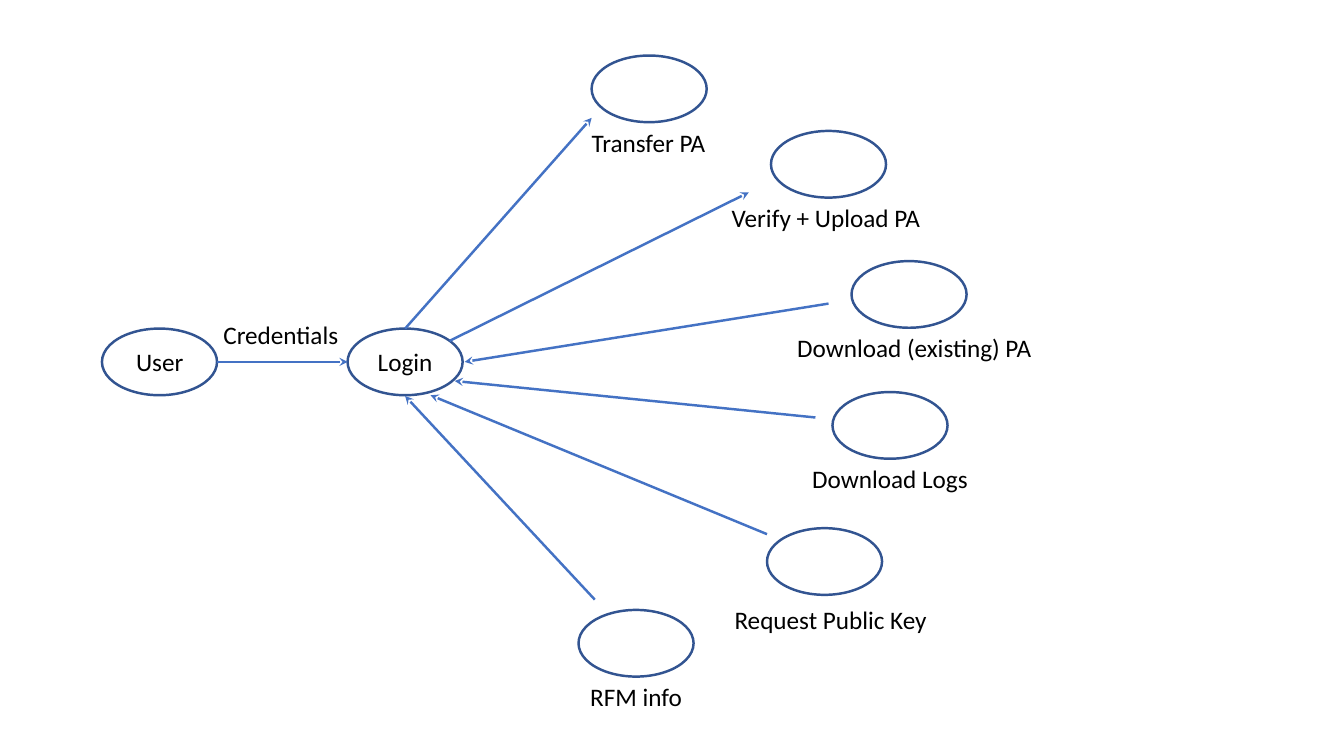
from typing import NamedTuple

from lxml.etree import SubElement
from pptx import Presentation
from pptx.dml.color import RGBColor
from pptx.enum.shapes import MSO_CONNECTOR as CONNECTOR, MSO_SHAPE as SHAPE
from pptx.enum.text import MSO_AUTO_SIZE as AUTO_SIZE, PP_ALIGN as ALIGN
from pptx.oxml.ns import qn
from pptx.util import Cm, Pt

OVAL_WIDTH, OVAL_HEIGHT = 2.9, 1.68
LABEL_HEIGHT = 1.02
USER = (2.57, 8.28)
LOGIN = (8.76, 8.28)


class Action(NamedTuple):
    text: str
    position: tuple
    label_shift: tuple
    label_width: float
    login_end: tuple
    action_end: tuple
    arrowhead: str
    align: ALIGN = ALIGN.LEFT


ACTIONS = [
    Action("Transfer PA", (14.91, 1.4), (-0.25, 1.68), 3.45,
           (1.45, 0), (0, 1.57), "tailEnd"),
    Action("Verify + Upload PA", (19.43, 3.3), (-1.24, 1.68), 5.38,
           (2.57, 0.31), (-0.56, 1.55), "tailEnd"),
    Action("Download (existing) PA", (21.46, 6.58), (-1.62, 1.68), 6.76,
           (2.95, 0.84), (-0.58, 1.07), "headEnd"),
    Action("Download Logs", (20.98, 9.88), (-0.76, 1.68), 4.52,
           (2.7, 1.32), (-0.43, 0.64), "headEnd"),
    Action("Request Public Key", (19.33, 13.31), (-1.19, 1.8), 5.59,
           (2.09, 1.68), (0, 0.15), "headEnd", ALIGN.CENTER),
    Action("RFM info", (14.58, 15.37), (0, 1.68), OVAL_WIDTH,
           (1.45, 1.7), (0.41, -0.26), "headEnd", ALIGN.CENTER),
]


def color(value):
    return RGBColor.from_string(value)


def shift(position, offset):
    return position[0] + offset[0], position[1] + offset[1]


def add_oval(shapes, position):
    oval = shapes.add_shape(SHAPE.OVAL, *map(Cm, position), Cm(OVAL_WIDTH), Cm(OVAL_HEIGHT))
    oval.shadow.inherit = False
    oval.fill.background()
    oval.line.color.rgb = color("325491")
    oval.line.width = Pt(1.75)


def add_label(shapes, text, position, width, align=ALIGN.LEFT):
    label = shapes.add_textbox(*map(Cm, position), Cm(width), Cm(LABEL_HEIGHT))
    frame = label.text_frame
    frame.word_wrap = False
    frame.auto_size = AUTO_SIZE.SHAPE_TO_FIT_TEXT
    frame.text = text
    paragraph = frame.paragraphs[0]
    paragraph.alignment = align
    font = paragraph.runs[0].font
    font.name = "Calibri"
    font.size = Pt(18)
    font.color.rgb = color("000000")


def add_arrow(shapes, start, end, arrowhead):
    arrow = shapes.add_connector(CONNECTOR.STRAIGHT, *map(Cm, start + end))
    arrow.line.color.rgb = color("4472C4")
    arrow.line.width = Pt(1.75)
    SubElement(arrow.line._get_or_add_ln(), qn("a:" + arrowhead), type="stealth")
    SubElement(arrow._element.spPr, qn("a:effectLst"))


def add_named_oval(slide, text, position, label_shift, label_width):
    group = slide.shapes.add_group_shape()
    add_oval(group.shapes, position)
    add_label(group.shapes, text, shift(position, label_shift), label_width)


def add_login_flow(slide, user, login):
    add_named_oval(slide, "User", user, (0.61, 0.31), 1.88)
    add_named_oval(slide, "Login", login, (0.51, 0.31), 2.26)
    start = shift(user, (OVAL_WIDTH, OVAL_HEIGHT / 2))
    add_arrow(slide.shapes, start, shift(login, (0, OVAL_HEIGHT / 2)), "tailEnd")
    add_label(slide.shapes, "Credentials", shift(user, (2.81, -0.36)), 3.45)


def add_action(slide, login, action):
    add_oval(slide.shapes, action.position)
    add_label(slide.shapes, action.text, shift(action.position, action.label_shift),
              action.label_width, action.align)
    add_arrow(slide.shapes, shift(login, action.login_end),
              shift(action.position, action.action_end), action.arrowhead)


def main():
    presentation = Presentation()
    presentation.slide_width = Cm(33.87)
    presentation.slide_height = Cm(19.05)
    slide = presentation.slides.add_slide(presentation.slide_layouts[6])
    add_login_flow(slide, USER, LOGIN)
    for action in ACTIONS:
        add_action(slide, LOGIN, action)
    presentation.save("out.pptx")


if __name__ == "__main__":
    main()
